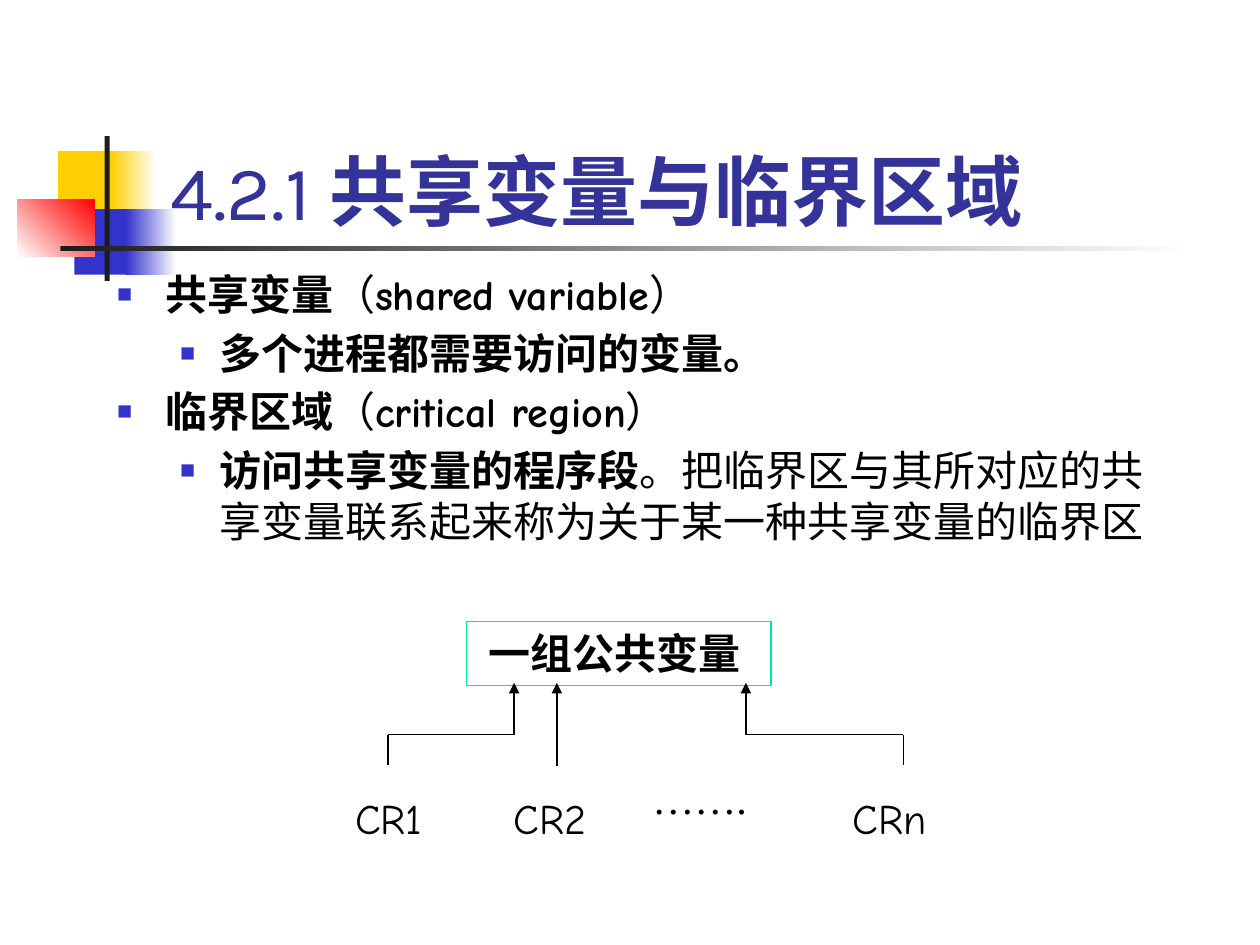
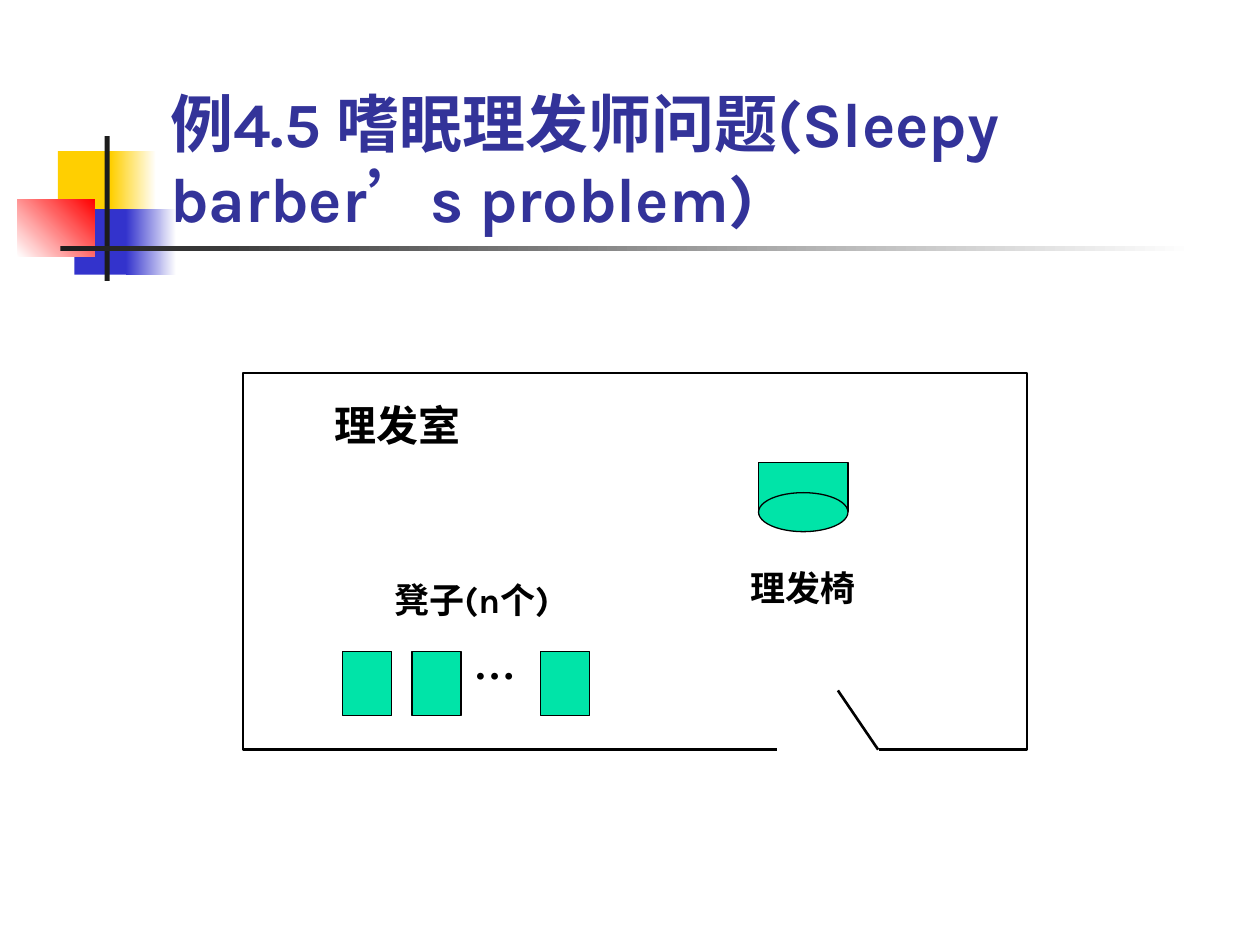
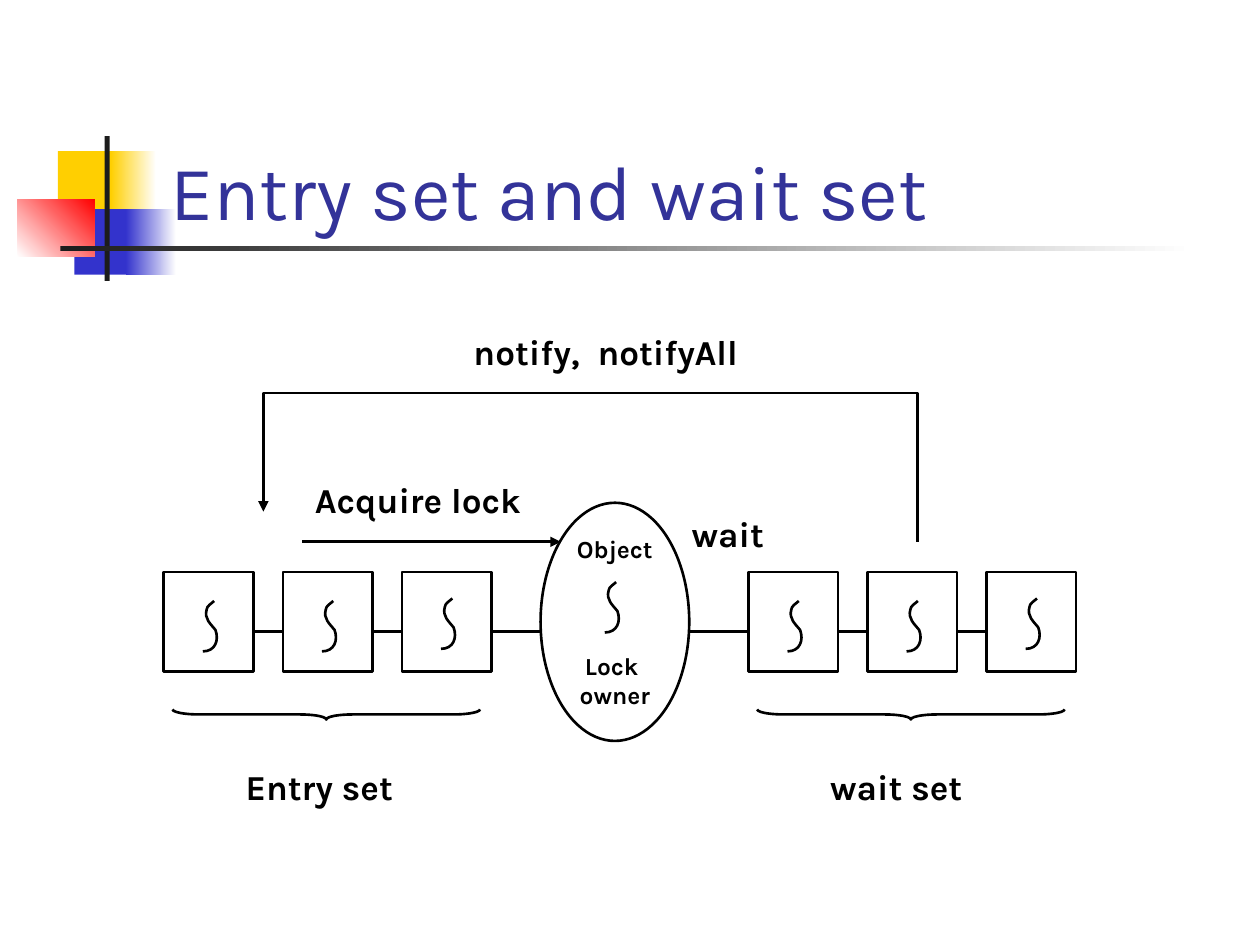
from dataclasses import dataclass
from typing import NamedTuple

from lxml import etree
from pptx import Presentation
from pptx.dml.color import RGBColor
from pptx.enum.shapes import MSO_CONNECTOR, MSO_SHAPE
from pptx.enum.text import MSO_ANCHOR, MSO_AUTO_SIZE, PP_ALIGN
from pptx.oxml.ns import qn
from pptx.util import Inches, Pt

RECT, OVAL, BRACE = MSO_SHAPE.RECTANGLE, MSO_SHAPE.OVAL, MSO_SHAPE.LEFT_BRACE
STRAIGHT = MSO_CONNECTOR.STRAIGHT
TOP, MIDDLE, BOTTOM = MSO_ANCHOR.TOP, MSO_ANCHOR.MIDDLE, MSO_ANCHOR.BOTTOM
LEFT, CENTER = PP_ALIGN.LEFT, PP_ALIGN.CENTER
NO_FIT = MSO_AUTO_SIZE.NONE

# Shared colours, fonts and line widths
BLACK, WHITE, INK = "000000", "FFFFFF", "1C1C1C"
YELLOW, BLUE, RED = "FFCF01", "3333CC", "FF0000"
NAVY, GREEN = "333399", "00E4A8"
SANS, HAND, SERIF = "Karla", "Comic Neue", "Times New Roman"
THIN, THICK = 0.75, 1.5
TITLE_ONLY, TITLE_BODY = 5, 1


class Box(NamedTuple):
    left: float
    top: float
    width: float
    height: float

    def inches(self) -> list:
        return [Inches(v) for v in self]


@dataclass
class Patch:
    """One part of the motif; with an end colour it is a gradient."""
    box: Box
    color: str
    end: str = ""
    angle: int = 0


@dataclass
class Label:
    box: Box
    text: str
    size: int = 20
    font: str = SANS
    bold: bool = True


@dataclass
class Queue:
    """Three waiting threads with a brace and a name."""
    left: float
    name: str


MOTIF = [
    Patch(Box(0.46, 1.2, 0.48, 0.52), YELLOW),
    Patch(Box(0.88, 1.2, 0.36, 0.52), YELLOW, WHITE),
    Patch(Box(0.59, 1.66, 0.46, 0.52), BLUE),
    Patch(Box(1, 1.66, 0.4, 0.52), BLUE, WHITE),
    Patch(Box(0.14, 1.58, 0.61, 0.46), WHITE, RED, 45),
    Patch(Box(0.83, 1.08, 0.04, 1.15), INK),
    Patch(Box(0.48, 1.95, 9, 0.04), INK, WHITE),
]


def rgb(color: str) -> RGBColor:
    return RGBColor.from_string(color)


# Text
def write(para, text: str, *, size: int = 24, font: str = SANS,
          bold: bool = False, color: str = BLACK) -> None:
    run = para.add_run()
    run.text = text
    run.font.size, run.font.name, run.font.bold = Pt(size), font, bold
    run.font.color.rgb = rgb(color)


def frame(shape, anchor=TOP, wrap: bool = True):
    area = shape.text_frame
    area.word_wrap, area.auto_size = wrap, NO_FIT
    area.vertical_anchor = anchor
    area.paragraphs[0].alignment = LEFT
    return area


def label(slide, item: Label) -> None:
    area = frame(slide.shapes.add_textbox(*item.box.inches()))
    write(area.paragraphs[0], item.text, size=item.size,
          font=item.font, bold=item.bold)


def title(slide, runs: list, size: int = 44) -> None:
    head = slide.shapes.title
    head.left, head.top, head.width, head.height = Box(1.25, 0.67, 8.52, 1.25).inches()
    para = frame(head, BOTTOM).paragraphs[0]
    for text, bold in runs:
        write(para, text, size=size, bold=bold, color=NAVY)


def bullet(para, level: int) -> None:
    margin, hang = ((0.38, 0.38), (0.81, 0.31))[level]
    para.level = level
    props = para._p.get_or_add_pPr()
    props.set("marL", str(Inches(margin)))
    props.set("indent", str(-Inches(hang)))
    tint = etree.SubElement(props, qn("a:buClr"))
    etree.SubElement(tint, qn("a:srgbClr"), val=BLUE)
    etree.SubElement(props, qn("a:buSzPct"), val="60000")
    etree.SubElement(props, qn("a:buFont"), typeface="Arial")
    etree.SubElement(props, qn("a:buChar"), char="■")


# Shapes and lines
def draw(slide, kind, box: Box, fill: str = "", line: str = BLACK, width: float = THIN):
    shape = slide.shapes.add_shape(kind, *box.inches())
    shape.shadow.inherit = False
    paint(shape, fill, line, width)
    return shape


def paint(shape, fill: str, line: str, width: float) -> None:
    if fill:
        shape.fill.solid()
        shape.fill.fore_color.rgb = rgb(fill)
    else:
        shape.fill.background()
    if line:
        shape.line.color.rgb = rgb(line)
        shape.line.width = Pt(width)
    else:
        shape.line.fill.background()


def arrow(shape) -> None:
    etree.SubElement(shape.line._get_or_add_ln(), qn("a:tailEnd"), type="triangle")


def link(slide, start: tuple, end: tuple, width: float = THIN, head: bool = False):
    line = slide.shapes.add_connector(STRAIGHT, *[Inches(v) for v in start + end])
    line.line.color.rgb = rgb(BLACK)
    line.line.width = Pt(width)
    if head:
        arrow(line)
    etree.SubElement(line._element.spPr, qn("a:effectLst"))
    return line


def trace(slide, points: list):
    pen = [(Inches(x), Inches(y)) for x, y in points]
    maker = slide.shapes.build_freeform(*pen[0])
    maker.add_line_segments(pen[1:], close=False)
    shape = maker.convert_to_shape()
    shape.shadow.inherit = False
    paint(shape, "", BLACK, THICK)
    return shape


def motif(slide, master) -> None:
    """Draw the motif and move it to the back of the master."""
    for i, patch in enumerate(MOTIF):
        shape = draw(slide, RECT, patch.box, patch.color, "")
        if patch.end:
            shape.fill.gradient()
            shape.fill.gradient_angle = patch.angle
            for stop, color in zip(shape.fill.gradient_stops, (patch.color, patch.end)):
                stop.color.rgb = rgb(color)
        node = shape._element
        node.nvSpPr.cNvPr.set("id", str(100 + i))
        master.shapes._spTree.insert(2 + i, node)


# Slide 1: shared variables and critical regions
def regions(slide) -> None:
    title(slide, [("4.2.1 ", False), ("共享变量与临界区域", True)])
    body = slide.placeholders[1]
    body.left, body.top, body.width, body.height = Box(0.83, 2.08, 8.5, 4.92).inches()
    area = frame(body)
    items = [
        (0, [("共享变量", SANS, True), ("（", SANS, False),
             ("shared variable", HAND, True), ("）", SANS, False)]),
        (1, [("多个进程都需要访问的变量。", SANS, True)]),
        (0, [("临界区域", SANS, True), ("（", SANS, False),
             ("critical region", HAND, True), ("）", SANS, False)]),
        (1, [("访问共享变量的程序段", SANS, True),
             ("。把临界区与其所对应的共享变量联系起来称为关于某一种共享变量的临界区",
              SANS, False)]),
    ]
    for i, (level, runs) in enumerate(items):
        para = area.add_paragraph() if i else area.paragraphs[0]
        bullet(para, level)
        para.space_before = Pt(4.8 if i else 0)
        for text, font, bold in runs:
            write(para, text, font=font, bold=bold)

    # Shared variables and the regions that use them
    pool = draw(slide, RECT, Box(3.7, 4.93, 2.42, 0.51), line=GREEN)
    write(frame(pool).paragraphs[0], " 一组公共变量", font=SERIF, bold=True)
    nodes = {}
    for name, left, width in (("CR1", 2.72, 0.87), ("CR2", 3.98, 0.88), ("CRn", 6.67, 0.92)):
        nodes[name] = draw(slide, RECT, Box(left, 6.08, width, 0.59), line=WHITE)
        para = frame(nodes[name]).paragraphs[0]
        para.line_spacing = 1.4
        write(para, name, font=HAND)
    label(slide, Label(Box(5.08, 6.08, 1.17, 0.5), "…….", 24, SERIF, False))

    base, bend, tip = 6.07, 5.83, 5.42
    for start, end in ((3.08, 4.08), (7.17, 5.92)):
        link(slide, (start, base), (start, bend))
        link(slide, (start, bend), (end, bend))
        link(slide, (end, bend), (end, tip), head=True)
    direct = link(slide, (4.42, 6.08), (4.42, tip), head=True)
    direct.begin_connect(nodes["CR2"], 0)


# Slide 2: the barber shop
def barber(slide) -> None:
    title(slide, [("例4.5 嗜眠理发师问题(Sleepy barber’s problem)", True)], 36)
    draw(slide, RECT, Box(1.93, 2.96, 6.22, 2.99), WHITE, width=THICK)
    for left in (2.72, 3.27, 4.29):
        draw(slide, RECT, Box(left, 5.17, 0.39, 0.51), GREEN)
    # Barber's chair
    draw(slide, RECT, Box(6.02, 3.67, 0.71, 0.39), GREEN)
    draw(slide, OVAL, Box(6.02, 3.91, 0.71, 0.31), GREEN)
    # Open door
    draw(slide, RECT, Box(6.18, 5.64, 0.79, 0.63), WHITE, WHITE, THICK)
    link(slide, (6.97, 5.95), (6.65, 5.48), THICK)
    for item in (
        Label(Box(3.66, 5.01, 0.55, 0.5), "…", 24, SERIF),
        Label(Box(3.03, 4.54, 1.65, 0.43), "凳子(n个)"),
        Label(Box(5.86, 4.45, 1.18, 0.43), "理发椅"),
        Label(Box(2.56, 3.12, 1.42, 0.5), "理发室", 24),
    ):
        label(slide, item)


# Slide 3: entry set and wait set
CURVES = [
    ((0.07, 0.02), (0.03, 0.04), (0.03, 0.07)),
    ((0.01, 0.14), (0.06, 0.18), (0.1, 0.23)),
    ((0.13, 0.31), (0.1, 0.4), (0, 0.4)),
]
AXIS = 5.01
CELL, PITCH = 0.71, 1.89 / 2


def thread(slide, left: float, top: float) -> None:
    """Draw a thread symbol: a stroke bent into three Bezier curves."""
    reach = ((0.09, 0), (0.12, 0.31), (0, 0.4))
    shape = trace(slide, [(left + x, top + y) for x, y in reach])
    route = shape._element.spPr.find(".//" + qn("a:path"))
    for piece in route.findall(qn("a:lnTo")):
        route.remove(piece)
    for curve in CURVES:
        bend = etree.SubElement(route, qn("a:cubicBezTo"))
        for x, y in curve:
            etree.SubElement(bend, qn("a:pt"), x=str(Inches(x)), y=str(Inches(y)))


def queue(slide, item: Queue) -> None:
    for i in range(3):
        left = item.left + i * PITCH
        draw(slide, RECT, Box(left, 4.54, CELL, 0.79), WHITE, width=THICK)
        thread(slide, left + 0.31, 4.75 if i == 2 else 4.77)
        if i < 2:
            link(slide, (left + CELL, AXIS), (left + PITCH, AXIS), THICK)
    brace = draw(slide, BRACE, Box(item.left + 1.25, 4.45, 0.08, 2.44), width=THICK)
    brace.rotation = 270
    brace.adjustments[0] = 2.6
    label(slide, Label(Box(item.left + 0.55, 6.03, 1.49, 0.43), item.name))


def monitor(slide) -> None:
    title(slide, [("Entry set and wait set", False)])
    # Object with the thread that owns its lock
    owner = draw(slide, OVAL, Box(4.29, 3.99, 1.18, 1.89), WHITE, width=THICK)
    area = frame(owner, MIDDLE, wrap=False)
    for i, (text, gap) in enumerate((("Object", 0), ("Lock ", 50), ("owner", 0))):
        para = area.add_paragraph() if i else area.paragraphs[0]
        para.alignment = CENTER
        para.space_before = Pt(gap)
        write(para, text, size=14, bold=True)
    thread(slide, 4.8, 4.62)

    for item in (Queue(1.3, "Entry set"), Queue(5.94, "wait set")):
        queue(slide, item)
    for start, end in ((3.9, 4.29), (5.47, 5.94)):
        link(slide, (start, AXIS), (end, AXIS), THICK)
    link(slide, (2.4, 4.3), (4.45, 4.3), THICK, head=True)
    arrow(trace(slide, [(7.28, 4.3), (7.28, 3.12), (2.09, 3.12), (2.09, 4.06)]))
    for item in (
        Label(Box(5.39, 4.02, 0.87, 0.43), "wait"),
        Label(Box(2.4, 3.75, 2.2, 0.43), "Acquire lock"),
        Label(Box(3.66, 2.57, 2.6, 0.43), "notify,  notifyAll"),
    ):
        label(slide, item)


def main() -> None:
    prs = Presentation()
    prs.slide_width, prs.slide_height = Inches(10), Inches(7.5)
    for i, (build, layout) in enumerate((
        (regions, TITLE_BODY), (barber, TITLE_ONLY), (monitor, TITLE_ONLY),
    )):
        slide = prs.slides.add_slide(prs.slide_layouts[layout])
        if i == 0:
            motif(slide, prs.slide_master)
        build(slide)
    prs.save("out.pptx")


if __name__ == "__main__":
    main()
